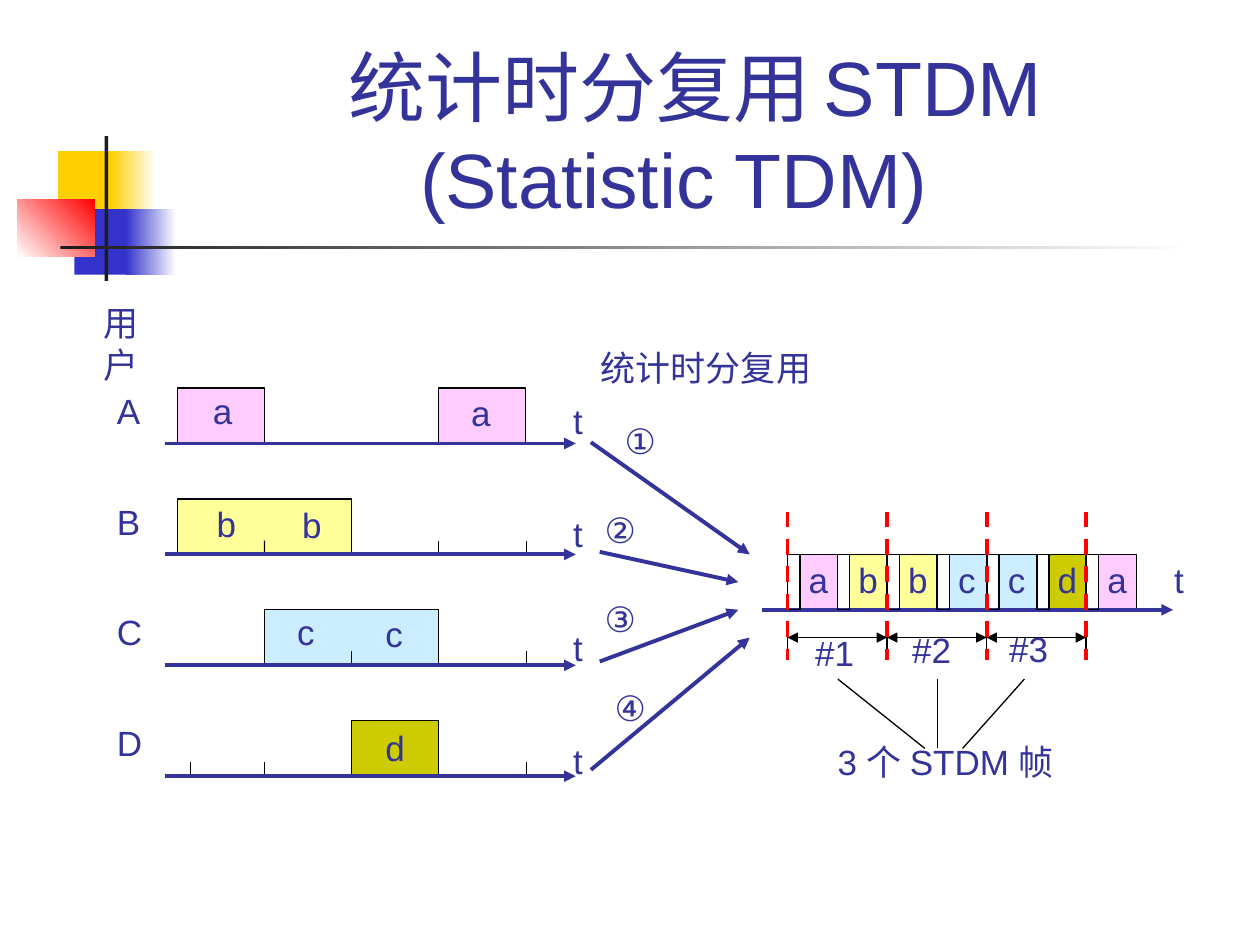
from dataclasses import dataclass

from lxml import etree
from pptx import Presentation
from pptx import util as u
from pptx.dml.color import RGBColor
from pptx.enum import dml, shapes, text
from pptx.oxml.ns import qn


@dataclass(frozen=True)
class Theme:
    ink: str = "333399"
    black: str = "000000"
    white: str = "FFFFFF"
    red: str = "FF0000"
    gold: str = "FFCF01"
    blue: str = "3333CC"
    dark: str = "1C1C1C"
    pink: str = "FFCCFF"
    lemon: str = "FFFF99"
    sky: str = "CCECFF"
    olive: str = "CCCC00"
    font: str = "Arial"
    head: float = 44
    gap: float = 32
    body: float = 20
    thin: float = 0.75
    thick: float = 2.25


@dataclass(frozen=True)
class Lane:
    name: str
    fill: str
    blocks: tuple  # (first slot, number of slots)
    letters: tuple  # (left, top) of each letter
    ticks: tuple = ()  # x of free ticks
    mid: bool = False  # tick at the middle of the block


@dataclass(frozen=True)
class Label:
    text: str
    left: float
    top: float
    width: float


T = Theme()
SLOT, LEFT, HIGH = 0.69, 1.41, 0.44
LANE, AXIS = 0.88, 3.52
FRAME, START, BASE = 0.79, 6.25, 4.84
HEAD, TICK = 0.1, 0.11

LANES = (
    Lane("A", T.pink, ((0, 1), (3, 1)), ((1.59, 3.04), (3.64, 3.06))),
    Lane("B", T.lemon, ((0, 2),), ((1.62, 3.94), (2.3, 3.95)),
         (3.48, 4.18), True),
    Lane("C", T.sky, ((1, 2),), ((2.26, 4.8), (2.96, 4.81)), (4.18,), True),
    Lane("D", T.olive, ((2, 1),), ((2.96, 5.72),), (1.51, 2.1, 4.18)),
)
HUES = {lane.name.lower(): lane.fill for lane in LANES}

LABELS = (
    Label("用户", 0.72, 2.34, 0.75),
    Label("统计时分复用", 4.67, 2.7, 1.87),
    Label("①", 4.86, 3.28, 0.45),
    Label("②", 4.7, 3.99, 0.45),
    Label("③", 4.7, 4.69, 0.45),
    Label("④", 4.78, 5.4, 0.45),
    Label("t", 9.22, 4.38, 0.27),
    Label("#1", 6.37, 4.96, 0.51),
    Label("#2", 7.14, 4.94, 0.51),
    Label("#3", 7.91, 4.93, 0.51),
    Label("3 个 STDM 帧", 6.55, 5.83, 2.11),
)
FLOWS = (
    (4.69, 3.51, 5.95, 4.4),
    (4.76, 4.38, 5.86, 4.62),
    (4.76, 5.25, 5.86, 4.84),
    (4.69, 6.11, 5.95, 5.06),
)
LEADS = ((6.65, 7.34), (7.44, 7.44), (8.13, 7.64))

# Left, top, width, height, colours, angle
DECOR = (
    (0.46, 1.2, 0.48, 0.52, (T.gold,), 0),
    (0.88, 1.2, 0.36, 0.52, (T.gold, T.white), 0),
    (0.59, 1.66, 0.46, 0.52, (T.blue,), 0),
    (1, 1.66, 0.4, 0.52, (T.blue, T.white), 0),
    (0.14, 1.58, 0.61, 0.46, (T.white, T.red), 45),
    (0.83, 1.08, 0.03, 1.15, (T.dark,), 0),
    (0.48, 1.95, 9, 0.03, (T.dark, T.white), 0),
)


def rgb(code: str) -> RGBColor:
    return RGBColor.from_string(code)


def box(slide, x: float, y: float, w: float, h: float, fills: tuple = (),
        edge: str = "", turn: float = 0):
    """Rectangle with no fill, a plain fill or a two-colour gradient."""
    rect = slide.shapes.add_shape(
        shapes.MSO_SHAPE.RECTANGLE, *map(u.Inches, (x, y, w, h)))
    rect.shadow.inherit = False
    if len(fills) == 2:
        rect.fill.gradient()
        rect.fill.gradient_angle = turn
        for stop, code, at in zip(rect.fill.gradient_stops, fills, (0, 1)):
            stop.color.rgb = rgb(code)
            stop.position = at
    elif fills:
        rect.fill.solid()
        rect.fill.fore_color.rgb = rgb(fills[0])
    else:
        rect.fill.background()
    if edge:
        rect.line.color.rgb = rgb(edge)
        rect.line.width = u.Pt(T.thin)
    else:
        rect.line.fill.background()
    return rect


def line(slide, x1: float, y1: float, x2: float, y2: float,
         hue: str = T.black, size: float = T.thin, ends: tuple = ()):
    """Straight line; ends lists headEnd and tailEnd arrowheads in order."""
    wire = slide.shapes.add_connector(
        shapes.MSO_CONNECTOR.STRAIGHT, *map(u.Inches, (x1, y1, x2, y2)))
    wire.line.color.rgb = rgb(hue)
    wire.line.width = u.Pt(size)
    for end in ends:
        etree.SubElement(wire.line._get_or_add_ln(), qn(f"a:{end}"),
                         type="triangle")
    etree.SubElement(wire._element.spPr, qn("a:effectLst"))
    return wire


def arrow(slide, x1: float, y1: float, x2: float, y2: float):
    return line(slide, x1, y1, x2, y2, T.ink, T.thick, ("tailEnd",))


def write(slide, item: Label) -> None:
    note = slide.shapes.add_textbox(
        *map(u.Inches, (item.left, item.top, item.width, HIGH)))
    frame = note.text_frame
    frame.word_wrap = False
    frame.auto_size = text.MSO_AUTO_SIZE.SHAPE_TO_FIT_TEXT
    para = frame.paragraphs[0]
    para.text = item.text
    style(para.font, T.body)


def style(font, size: float) -> None:
    font.name, font.size = T.font, u.Pt(size)
    font.color.rgb = rgb(T.ink)


def title(slide) -> None:
    head = slide.shapes.title
    head.left, head.top, head.width, head.height = map(
        u.Inches, (1.26, 0.23, 8.52, 1.6))
    frame = head.text_frame
    frame.auto_size = text.MSO_AUTO_SIZE.NONE
    frame.vertical_anchor = text.MSO_ANCHOR.BOTTOM
    first, second = frame.paragraphs[0], frame.add_paragraph()
    for words, size in (("统计时分复用", T.head), (" ", T.gap),
                        ("STDM", T.head)):
        run = first.add_run()
        run.text = words
        run.font.size = u.Pt(size)
    second.text = "(Statistic TDM)"
    second._p.get_or_add_pPr().set("marR", str(u.Inches(0.34)))
    for para in (first, second):
        para.alignment = text.PP_ALIGN.CENTER
        style(para.font, T.head)


def draw_lane(slide, row: int, lane: Lane) -> None:
    axis = AXIS + row * LANE
    for slot, count in lane.blocks:
        x = LEFT + slot * SLOT
        block = box(slide, x, axis - HIGH, count * SLOT, HIGH,
                    (lane.fill,), T.black)
        if lane.mid:
            mid = x + count * SLOT / 2
            tick = line(slide, mid, axis - TICK, mid, axis)
            tick.end_connect(block, 2)
    for x in lane.ticks:
        line(slide, x, axis - TICK, x, axis)
    for x, y in lane.letters:
        write(slide, Label(lane.name.lower(), x, y, 0.35))
    write(slide, Label(lane.name, 0.83, axis - 0.48, 0.39))
    write(slide, Label("t", 4.45, 3.12 + row * 0.9, 0.27))
    arrow(slide, 1.31, axis, 4.57, axis)


def draw_stream(slide) -> None:
    top = BASE - HIGH
    cells = [(START + i * FRAME / 2, name) for i, name in enumerate("abbccda")]
    for x, name in cells:
        box(slide, x + HEAD, top, 0.3, HIGH, (HUES[name],), T.black)
    arrow(slide, 6.05, BASE, 9.31, BASE)
    for x, name in cells:
        write(slide, Label(name, x + 0.07, 4.38, 0.35))
        box(slide, x, top, HEAD, HIGH, edge=T.black)
    for x in (7.14, 7.44, 8.62):
        line(slide, x, BASE - TICK, x, BASE)
    # Frame limits and spans
    for i in range(4):
        x = START + i * FRAME
        line(slide, x, 4.95, x, 5.17)
        if i < 3:
            line(slide, x, 5.06, x + FRAME, 5.06, ends=("headEnd", "tailEnd"))
        limit = line(slide, x, 4.06, x, 5.24, T.red, T.thick)
        limit.line.dash_style = dml.MSO_LINE.DASH


def main() -> None:
    deck = Presentation()
    deck.slide_width, deck.slide_height = u.Inches(10), u.Inches(7.5)
    slide = deck.slides.add_slide(deck.slide_layouts[5])
    # Corner ornament and title
    for *area, fills, turn in DECOR:
        box(slide, *area, fills, turn=turn)
    title(slide)
    # User lanes, then the shared line
    for row, lane in enumerate(LANES):
        draw_lane(slide, row, lane)
    draw_stream(slide)
    # Flows into the shared line, leads to the caption, labels
    for flow in FLOWS:
        arrow(slide, *flow)
    for x1, x2 in LEADS:
        line(slide, x1, 5.39, x2, 5.94)
    for item in LABELS:
        write(slide, item)
    deck.save("out.pptx")


if __name__ == "__main__":
    main()
